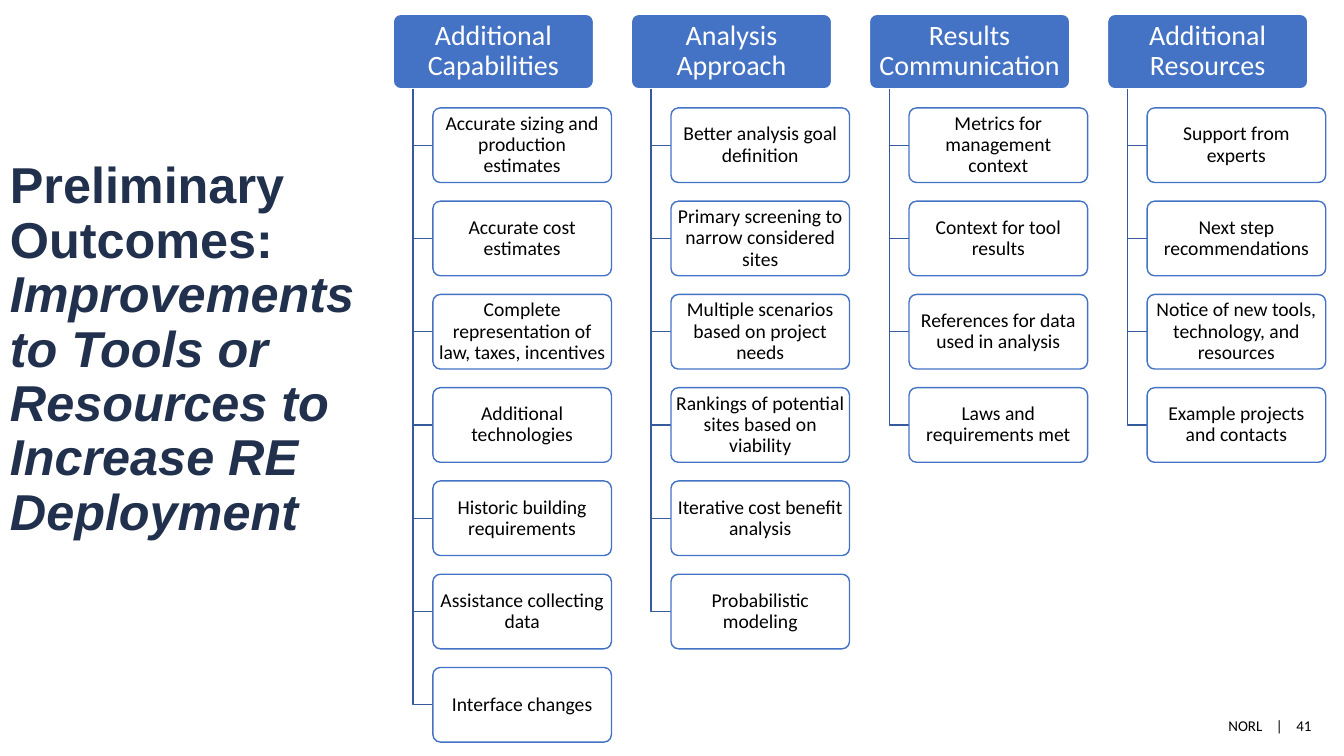
"""Build the slide of preliminary outcomes: four columns of improvements beside a title."""
from pptx import Presentation
from pptx import util as u
from pptx.dml.color import RGBColor
from pptx.enum import shapes, text

COLOURS = {
    "white": "FFFFFF",
    "black": "000000",
    "navy": "21314D",
    "blue": "4472C4",
    "branch": "365B9D",
}
COLUMNS = {
    "Additional Capabilities": [
        "Accurate sizing and production estimates",
        "Accurate cost estimates",
        "Complete representation of law, taxes, incentives",
        "Additional technologies",
        "Historic building requirements",
        "Assistance collecting data",
        "Interface changes",
    ],
    "Analysis Approach": [
        "Better analysis goal definition",
        "Primary screening to narrow considered sites",
        "Multiple scenarios based on project needs",
        "Rankings of potential sites based on viability",
        "Iterative cost benefit analysis",
        "Probabilistic modeling",
    ],
    "Results Communication": [
        "Metrics for management context",
        "Context for tool results",
        "References for data used in analysis",
        "Laws and requirements met",
    ],
    "Additional Resources": [
        "Support from experts",
        "Next step recommendations",
        "Notice of new tools, technology, and resources",
        "Example projects and contacts",
    ],
}
LEFT, COLUMN_STEP = 9.91, 6.0
HEADER_TOP, HEADER_WIDTH, BOX_HEIGHT = 0.36, 5.05, 1.88
ITEM_TOP, ITEM_STEP, ITEM_WIDTH = 2.72, 2.35, 4.5
TRUNK_INDENT, ITEM_INDENT = 0.5, 1.0


def write(box, spans, colour, align, insets, **font):
    """Fill a box with one paragraph of (text, font overrides) spans."""
    frame = box.text_frame
    frame.word_wrap = True
    frame.vertical_anchor = text.MSO_ANCHOR.MIDDLE
    for side, inset in zip(("left", "top", "right", "bottom"), insets):
        setattr(frame, f"margin_{side}", u.Cm(inset))
    para = frame.paragraphs[0]
    para.alignment = align
    para.line_spacing = 0.9
    for words, overrides in spans:
        span = para.add_run()
        span.text = words
        span.font.color.rgb = RGBColor.from_string(COLOURS[colour])
        for name, value in {**font, **overrides}.items():
            setattr(span.font, name, value)
    return para


def add_card(left, top, width, fill, line, words, colour, size, insets):
    """Add a rounded box with centred text."""
    card = page.shapes.add_shape(
        shapes.MSO_SHAPE.ROUNDED_RECTANGLE,
        u.Cm(left), u.Cm(top), u.Cm(width), u.Cm(BOX_HEIGHT))
    card.adjustments[0] = 0.1
    card.shadow.inherit = False
    card.fill.solid()
    card.fill.fore_color.rgb = RGBColor.from_string(COLOURS[fill])
    card.line.color.rgb = RGBColor.from_string(COLOURS[line])
    card.line.width = u.Pt(1)
    write(card, [(words, {})], colour, text.PP_ALIGN.CENTER, insets,
          name="Calibri", size=u.Pt(size))


deck = Presentation()
deck.slide_width, deck.slide_height = u.Cm(33.87), u.Cm(19.05)
page = deck.slides.add_slide(deck.slide_layouts[6])

footer = page.shapes.add_textbox(u.Cm(24.87), u.Cm(17.93), u.Cm(8.43), u.Cm(0.71))
footer_para = write(
    footer, [(words, {}) for words in ("NORL", " ", "|", " ", "41")],
    "black", text.PP_ALIGN.RIGHT, (0.25, 0.13, 0.25, 0.13),
    name="Calibri", size=u.Pt(10.7))
footer_para.line_spacing = 1.0
for gap in footer_para.runs[1::2]:
    gap.font._element.set("spc", "725")

for column, (heading, items) in enumerate(COLUMNS.items()):
    left = LEFT + column * COLUMN_STEP
    add_card(left, HEADER_TOP, HEADER_WIDTH, "blue", "white",
             heading, "white", 20, (0.1, 0.07, 0.1, 0.07))
    trunk, item_left = left + TRUNK_INDENT, left + ITEM_INDENT
    for row, item in enumerate(items):
        top = ITEM_TOP + row * ITEM_STEP
        middle = top + BOX_HEIGHT / 2
        builder = page.shapes.build_freeform(
            u.Cm(trunk), u.Cm(HEADER_TOP + BOX_HEIGHT))
        builder.add_line_segments(
            [(u.Cm(trunk), u.Cm(middle)), (u.Cm(item_left), u.Cm(middle))],
            close=False)
        branch = builder.convert_to_shape()
        branch.shadow.inherit = False
        branch.fill.background()
        branch.line.color.rgb = RGBColor.from_string(COLOURS["branch"])
        branch.line.width = u.Pt(1)
        add_card(item_left, top, ITEM_WIDTH, "white", "blue",
                 item, "black", 14, (0.07, 0.05, 0.07, 0.05))

title = page.shapes.add_textbox(0, 0, u.Cm(9.22), deck.slide_height)
write(title,
      [("Preliminary Outcomes: ", {}),
       ("Improvements to Tools or Resources to Increase RE Deployment", {"italic": True})],
      "navy", text.PP_ALIGN.LEFT, (0.25, 0.13, 0.1, 1.5),
      name="Arial", size=u.Pt(36), bold=True)

deck.save("out.pptx")
